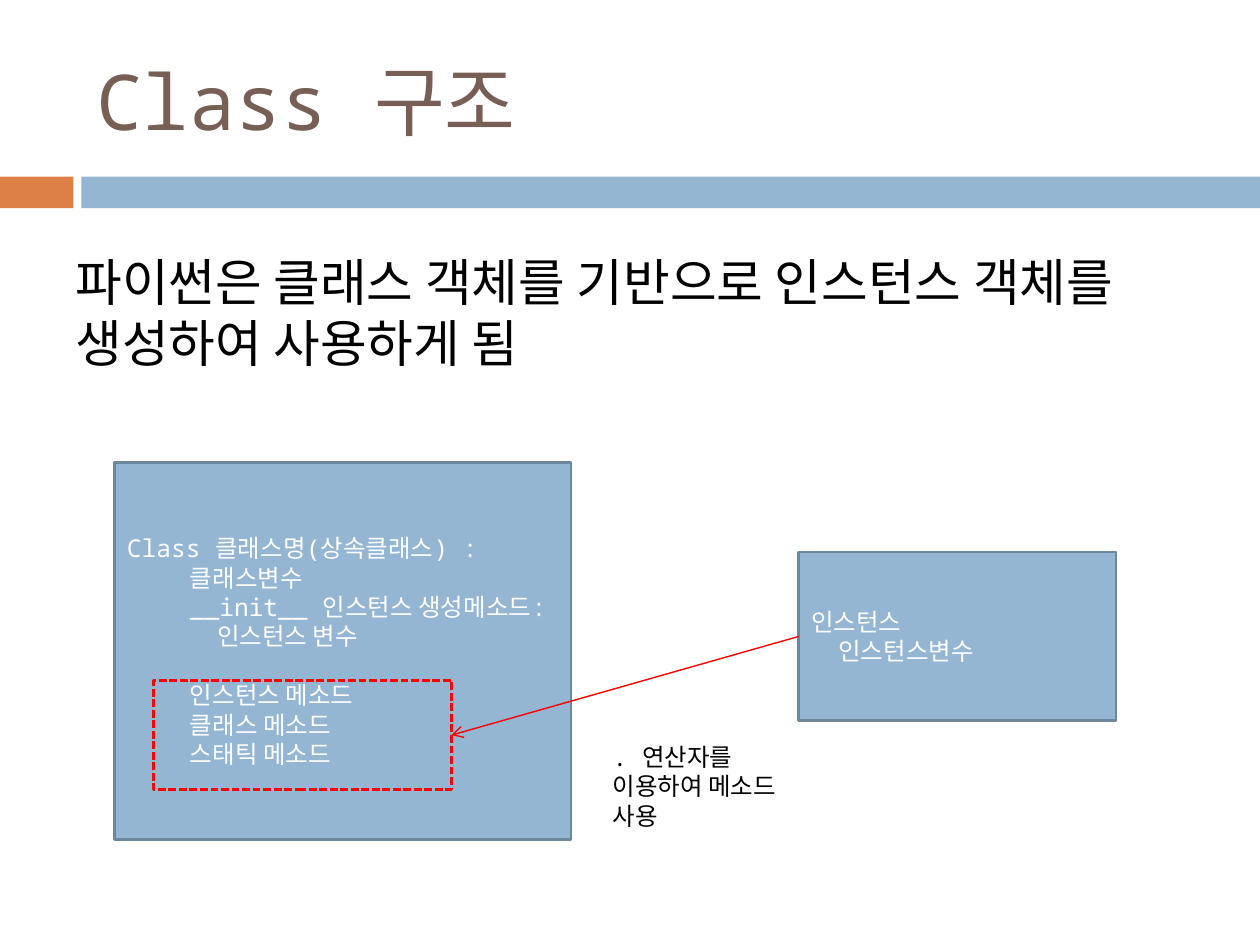
from dataclasses import dataclass

from lxml import etree
from pptx import Presentation
from pptx.dml.color import RGBColor
from pptx.enum.dml import MSO_LINE
from pptx.enum.shapes import MSO_CONNECTOR, MSO_SHAPE
from pptx.enum.text import MSO_ANCHOR, PP_ALIGN
from pptx.oxml.ns import qn
from pptx.util import Cm, Pt

RECTANGLE = MSO_SHAPE.RECTANGLE
STRAIGHT = MSO_CONNECTOR.STRAIGHT
DASH = MSO_LINE.SQUARE_DOT
TOP, MIDDLE = MSO_ANCHOR.TOP, MSO_ANCHOR.MIDDLE
LEFT = PP_ALIGN.LEFT
LEFT_SIDE, RIGHT_SIDE = 1, 3


@dataclass(frozen=True)
class Theme:
    font: str = "Noto Sans Mono"
    blue: RGBColor = RGBColor(0x94, 0xB6, 0xD2)
    outline: RGBColor = RGBColor(0x6D, 0x87, 0x9B)
    orange: RGBColor = RGBColor(0xDD, 0x80, 0x47)
    brown: RGBColor = RGBColor(0x77, 0x5F, 0x55)
    red: RGBColor = RGBColor(0xFF, 0, 0)
    white: RGBColor = RGBColor(0xFF, 0xFF, 0xFF)
    black: RGBColor = RGBColor(0, 0, 0)
    title: Pt = Pt(44)
    body: Pt = Pt(29)
    label: Pt = Pt(14)
    line: Pt = Pt(1.5)
    arrow: Pt = Pt(0.79)


theme = Theme()
presentation = Presentation()
presentation.slide_width, presentation.slide_height = Cm(25.4), Cm(19.05)
slide = presentation.slides.add_slide(presentation.slide_layouts[6])


def add_rectangle(box, fill=None, line=None):
    shape = slide.shapes.add_shape(RECTANGLE, *map(Cm, box))
    shape.shadow.inherit = False
    if fill is None:
        shape.fill.background()
    else:
        shape.fill.solid()
        shape.fill.fore_color.rgb = fill
    if line is None:
        shape.line.fill.background()
    else:
        shape.line.color.rgb = line
        shape.line.width = theme.line
    return shape


def write_lines(shape, lines, size, color, anchor):
    frame = shape.text_frame
    frame.word_wrap = True
    frame.vertical_anchor = anchor
    for index, (text, indent, space_before) in enumerate(lines):
        paragraph = frame.paragraphs[0] if index == 0 else frame.add_paragraph()
        paragraph.text = text
        paragraph.alignment = LEFT
        paragraph.space_before = Pt(space_before)
        properties = paragraph._p.get_or_add_pPr()
        properties.set("marL", str(Cm(indent)))
        properties.set("indent", "0")
        paragraph.font.name = theme.font
        paragraph.font.size = size
        paragraph.font.color.rgb = color


add_rectangle((0, 3.56, 1.48, 0.64), theme.orange)
add_rectangle((1.64, 3.56, 23.76, 0.64), theme.blue)

texts = [
    ((1.7, 0.64, 22.66, 2.74), "Class 구조", theme.title, theme.brown, MIDDLE),
    ((1.27, 4.93, 22.86, 2.59), "파이썬은 클래스 객체를 기반으로 인스턴스 객체를 생성하여 사용하게 됨",
     theme.body, theme.black, TOP),
    ((12.1, 14.83, 4.2, 2.05), ". 연산자를 이용하여 메소드 사용", theme.label, theme.black, TOP),
]
for box, text, size, color, anchor in texts:
    text_box = slide.shapes.add_textbox(*map(Cm, box))
    write_lines(text_box, [(text, 0, 0)], size, color, anchor)

class_box = add_rectangle((2.31, 9.32, 9.2, 7.6), theme.blue, theme.outline)
class_lines = [
    ("Class 클래스명(상속클래스) :", 0, 0),
    ("클래스변수", 1.27, 0),
    ("__init__ 인스턴스 생성메소드:", 1.27, 0),
    ("인스턴스 변수", 1.82, 0),
    ("인스턴스 메소드", 1.27, 16.8),
    ("클래스 메소드", 1.27, 0),
    ("스태틱 메소드", 1.27, 0),
]
write_lines(class_box, class_lines, theme.label, theme.white, MIDDLE)

instance_box = add_rectangle((16.1, 11.13, 6.4, 3.4), theme.blue, theme.outline)
instance_lines = [("인스턴스", 0, 0), ("인스턴스변수", 0.55, 0)]
write_lines(instance_box, instance_lines, theme.label, theme.white, MIDDLE)

method_frame = add_rectangle((3.1, 13.72, 6, 2.2), line=theme.red)
method_frame.line.dash_style = DASH

arrow = slide.shapes.add_connector(STRAIGHT, 0, 0, 0, 0)
arrow.begin_connect(instance_box, LEFT_SIDE)
arrow.end_connect(method_frame, RIGHT_SIDE)
arrow.line.color.rgb = theme.red
arrow.line.width = theme.arrow
etree.SubElement(arrow.line._get_or_add_ln(), qn("a:tailEnd"), type="arrow")
etree.SubElement(arrow._element.spPr, qn("a:effectLst"))

presentation.save("out.pptx")
